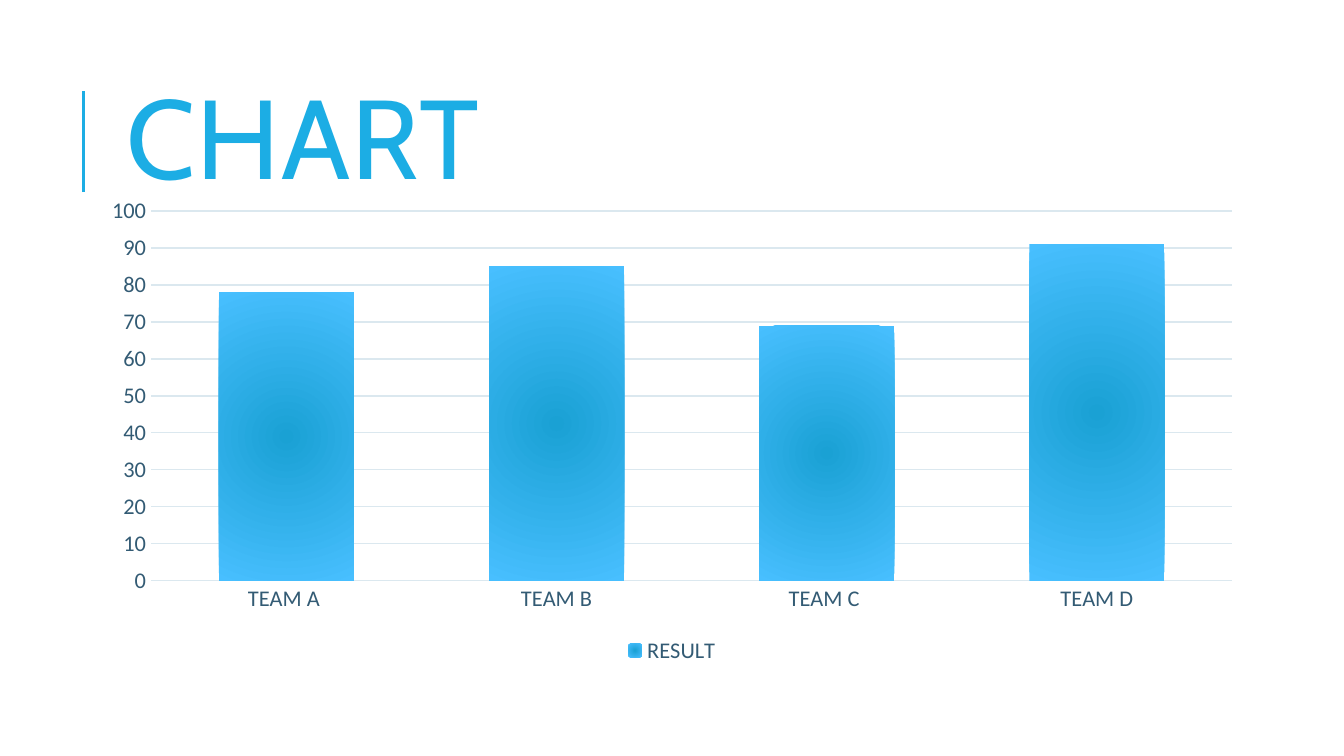
from lxml import etree
from pptx import Presentation
from pptx.chart.data import CategoryChartData
from pptx.dml.color import RGBColor
from pptx.enum.chart import XL_CHART_TYPE, XL_LEGEND_POSITION, XL_TICK_MARK
from pptx.enum.shapes import MSO_CONNECTOR
from pptx.enum.text import MSO_ANCHOR
from pptx.oxml import parse_xml
from pptx.oxml.ns import nsdecls, qn
from pptx.util import Inches, Pt

COLUMNS = XL_CHART_TYPE.COLUMN_CLUSTERED
BOTTOM = XL_LEGEND_POSITION.BOTTOM
NO_TICK = XL_TICK_MARK.NONE
STRAIGHT = MSO_CONNECTOR.STRAIGHT
MIDDLE = MSO_ANCHOR.MIDDLE

SLIDE_WIDTH = 10
SLIDE_HEIGHT = SLIDE_WIDTH * 9 / 16
ACCENT = "1CADE4"
LABEL = "335B74"
GRID = "DBE8EF"
BAR_CENTER = "1AA1D4"
BAR_EDGE = "48BFFF"
RESULTS = {"TEAM A ": 78, "TEAM B": 85, "TEAM C ": 69, "TEAM D": 91}


def rgb(hex_color):
    return RGBColor.from_string(hex_color)


def set_format(target, values):
    for name, value in values.items():
        setattr(target, name, value)


def style_font(font, name, size, color):
    set_format(font, {"name": name, "size": Pt(size)})
    font.color.rgb = rgb(color)


def style_line(line, color, width):
    line.color.rgb = rgb(color)
    line.width = Pt(width)


def add_rule(slide, x, top, bottom):
    rule = slide.shapes.add_connector(
        STRAIGHT, Inches(x), Inches(bottom), Inches(x), Inches(top))
    style_line(rule.line, ACCENT, 1.5)
    etree.SubElement(rule._element.spPr, qn("a:effectLst"))


def add_title(slide, text, left, top, width, height):
    title = slide.shapes.add_textbox(
        Inches(left), Inches(top), Inches(width), Inches(height))
    set_format(title.text_frame, {"word_wrap": True, "vertical_anchor": MIDDLE})
    paragraph = title.text_frame.paragraphs[0]
    paragraph.line_spacing = 0.8
    run = paragraph.add_run()
    run.text = text
    style_font(run.font, "Cabin", 60, ACCENT)
    run.font._element.set("spc", "80")


def fill_radial(chart_format, center, edge):
    """Replace the fill with a circular gradient."""
    chart_format.fill.solid()
    properties = chart_format.fill._xPr
    stops = "".join(
        f'<a:gs pos="{position}"><a:srgbClr val="{color}"/></a:gs>'
        for position, color in ((0, center), (100000, edge)))
    sides = " ".join(f'{side}="100000"' for side in "ltrb")
    gradient = parse_xml(
        f'<a:gradFill {nsdecls("a")} rotWithShape="1"><a:gsLst>{stops}</a:gsLst>'
        f'<a:path path="circle"><a:fillToRect {sides}/></a:path></a:gradFill>')
    properties.replace(properties.find(qn("a:solidFill")), gradient)


def add_result_chart(slide, left, top, width, height):
    data = CategoryChartData()
    data.categories = list(RESULTS)
    data.add_series("RESULT", list(RESULTS.values()))
    chart = slide.shapes.add_chart(
        COLUMNS, Inches(left), Inches(top), Inches(width), Inches(height), data).chart
    set_format(chart, {"has_title": False, "has_legend": True})
    style_font(chart.font, "Calibri", 10, "000000")

    set_format(chart.legend, {"position": BOTTOM, "include_in_layout": False})
    teams, scores = chart.category_axis, chart.value_axis
    for axis in (teams, scores):
        set_format(axis, {"major_tick_mark": NO_TICK, "minor_tick_mark": NO_TICK})
    for labels in (teams.tick_labels, scores.tick_labels, chart.legend):
        style_font(labels.font, "Calibri", 12, LABEL)
    style_line(teams.format.line, GRID, 0.75)
    scores.format.line.fill.background()
    style_line(scores.major_gridlines.format.line, GRID, 0.75)

    plot = chart.plots[0]
    set_format(plot, {"gap_width": 100, "overlap": -24, "vary_by_categories": False})
    bars = plot.series[0]
    fill_radial(bars.format, BAR_CENTER, BAR_EDGE)
    bars.format.line.fill.background()


def main():
    deck = Presentation()
    set_format(deck, {"slide_width": Inches(SLIDE_WIDTH),
                      "slide_height": Inches(SLIDE_HEIGHT)})
    slide = deck.slides.add_slide(deck.slide_layouts[6])
    add_rule(slide, 0.62, 0.68, 1.43)
    add_title(slide, "CHART", 0.84, 0.48, 7.97, 1.23)
    add_result_chart(slide, 0.66, 1.4, 8.68, 3.58)
    deck.save("out.pptx")


if __name__ == "__main__":
    main()
